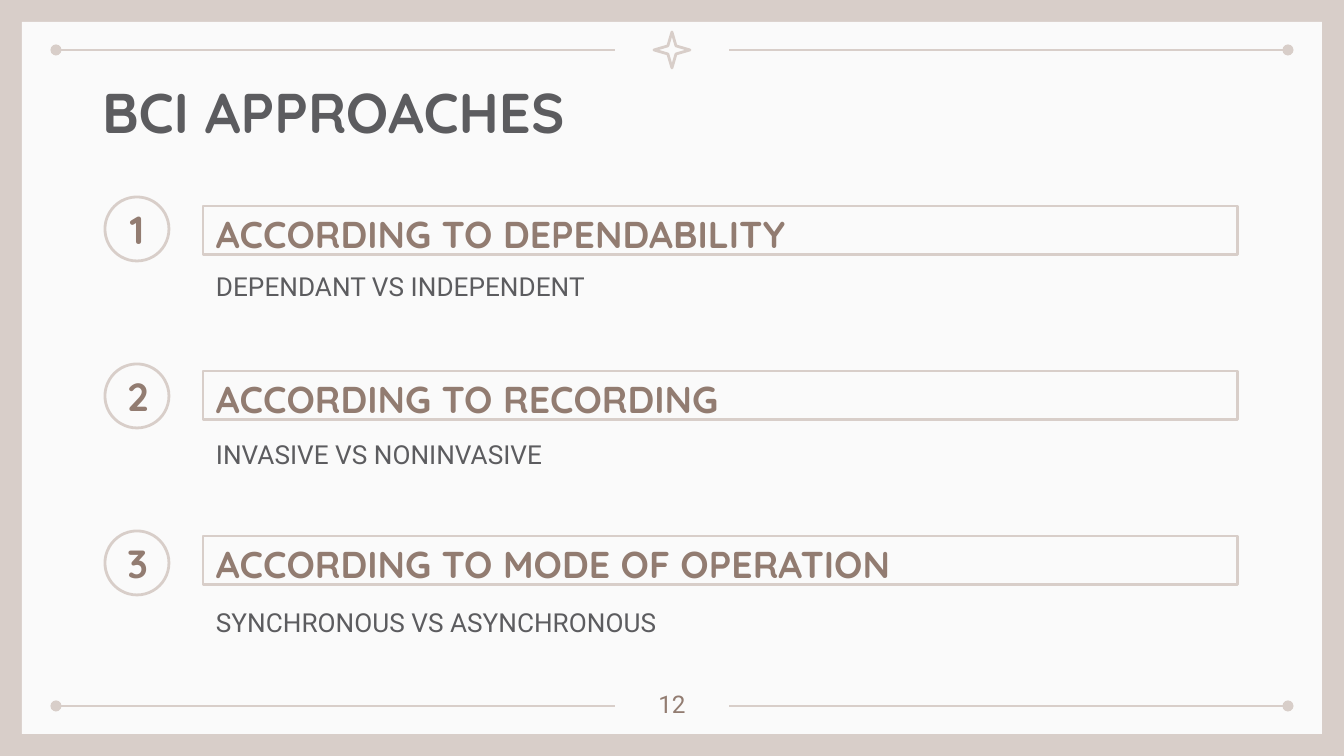
import dataclasses

import lxml.etree
import pptx
import pptx.dml.color
import pptx.enum.shapes
import pptx.enum.text
import pptx.oxml.ns
import pptx.util

SLIDE_WIDTH, SLIDE_HEIGHT = 1344, 756
EMU_PER_PX = 914400 / 134.4
INSET = 13

SAND = pptx.dml.color.RGBColor(0xD8, 0xCE, 0xC9)
PAPER = pptx.dml.color.RGBColor(0xFA, 0xFA, 0xFA)
BROWN = pptx.dml.color.RGBColor(0x92, 0x7C, 0x71)
GRAPHITE = pptx.dml.color.RGBColor(0x5C, 0x5C, 0x5F)

SHAPE = pptx.enum.shapes.MSO_SHAPE
ANCHOR = pptx.enum.text.MSO_ANCHOR
ALIGN = pptx.enum.text.PP_ALIGN


@dataclasses.dataclass(frozen=True)
class Box:
    left: int
    top: int
    width: int
    height: int


@dataclasses.dataclass(frozen=True)
class TextStyle:
    font: str
    size: int
    color: pptx.dml.color.RGBColor
    bold: bool = False
    align: ALIGN = ALIGN.LEFT
    anchor: ANCHOR = ANCHOR.TOP
    spacing: float = 1.0


@dataclasses.dataclass(frozen=True)
class Approach:
    heading: str
    options: str


TITLE_STYLE = TextStyle("Quicksand", 30, GRAPHITE, bold=True)
NUMBER_STYLE = TextStyle("Quicksand", 21, BROWN, True, ALIGN.CENTER, ANCHOR.MIDDLE)
HEADING_STYLE = TextStyle("Quicksand", 20, BROWN, True, anchor=ANCHOR.MIDDLE, spacing=1.15)
OPTIONS_STYLE = TextStyle("Roboto", 14, GRAPHITE, spacing=1.15)
PAGE_STYLE = TextStyle("Roboto", 13, BROWN, align=ALIGN.CENTER)

APPROACHES = [
    Approach("ACCORDING TO DEPENDABILITY", "DEPENDANT VS INDEPENDENT"),
    Approach("ACCORDING TO RECORDING", "INVASIVE VS NONINVASIVE"),
    Approach("ACCORDING TO MODE OF OPERATION", "SYNCHRONOUS VS ASYNCHRONOUS"),
]


def px(length: int) -> pptx.util.Emu:
    return pptx.util.Emu(round(length * EMU_PER_PX))


def corners(box: Box) -> tuple:
    return px(box.left), px(box.top), px(box.width), px(box.height)


def write(shape, text: str, style: TextStyle) -> None:
    frame = shape.text_frame
    frame.auto_size = pptx.enum.text.MSO_AUTO_SIZE.NONE
    frame.word_wrap = True
    frame.vertical_anchor = style.anchor
    frame.margin_left = frame.margin_right = px(INSET)
    frame.margin_top = frame.margin_bottom = px(INSET)
    paragraph = frame.paragraphs[0]
    paragraph.alignment = style.align
    paragraph.line_spacing = style.spacing
    run = paragraph.add_run()
    run.text = text
    run.font.name = style.font
    run.font.size = pptx.util.Pt(style.size)
    run.font.bold = style.bold
    run.font.color.rgb = style.color


def add_text(slide, box: Box, text: str, style: TextStyle) -> None:
    write(slide.shapes.add_textbox(*corners(box)), text, style)


def add_outline(slide, kind: SHAPE, box: Box):
    shape = slide.shapes.add_shape(kind, *corners(box))
    shape.shadow.inherit = False
    shape.fill.background()
    shape.line.color.rgb = SAND
    shape.line.width = pptx.util.Pt(1.5)
    line = shape.element.spPr.find(pptx.oxml.ns.qn("a:ln"))
    lxml.etree.SubElement(line, pptx.oxml.ns.qn("a:round"))
    return shape


def add_rule(slide, outer: int, inner: int, y: int) -> None:
    rule = slide.shapes.add_connector(
        pptx.enum.shapes.MSO_CONNECTOR.STRAIGHT, px(outer), px(y), px(inner), px(y)
    )
    rule.line.color.rgb = SAND
    rule.line.width = pptx.util.Pt(1.5)
    properties = rule.element.spPr
    line = properties.find(pptx.oxml.ns.qn("a:ln"))
    lxml.etree.SubElement(line, pptx.oxml.ns.qn("a:headEnd"), type="oval")
    lxml.etree.SubElement(properties, pptx.oxml.ns.qn("a:effectLst"))


def add_frame(slide) -> None:
    slide.background.fill.solid()
    slide.background.fill.fore_color.rgb = SAND
    margin = 22
    card = slide.shapes.add_shape(
        SHAPE.RECTANGLE,
        *corners(Box(margin, margin, SLIDE_WIDTH - 2 * margin, SLIDE_HEIGHT - 2 * margin)),
    )
    card.shadow.inherit = False
    card.fill.solid()
    card.fill.fore_color.rgb = PAPER
    card.line.fill.background()
    for y in (50, 706):
        for outer, inner in ((56, 615), (1288, 729)):
            add_rule(slide, outer, inner, y)
    star = add_outline(slide, SHAPE.STAR_4_POINT, Box(654, 32, 36, 36))
    star.adjustments[0] = 0.16


def add_title(slide, text: str) -> None:
    title = slide.shapes.title
    title.left, title.top, title.width, title.height = corners(Box(89, 65, 1133, 85))
    write(title, text, TITLE_STYLE)
    title.element.getparent().append(title.element)


def add_approach(slide, index: int, approach: Approach) -> None:
    left, width = 203, 1035
    add_text(slide, Box(left, 253 + 168 * index, width, 78), approach.options, OPTIONS_STYLE)
    circle = add_outline(slide, SHAPE.OVAL, Box(105, 197 + 167 * index, 64, 64))
    write(circle, str(index + 1), NUMBER_STYLE)
    heading = add_outline(slide, SHAPE.RECTANGLE, Box(left, 206 + 165 * index, width, 49))
    write(heading, approach.heading, HEADING_STYLE)


def main() -> None:
    presentation = pptx.Presentation()
    presentation.slide_width = px(SLIDE_WIDTH)
    presentation.slide_height = px(SLIDE_HEIGHT)
    slide = presentation.slides.add_slide(presentation.slide_layouts.get_by_name("Title Only"))
    add_frame(slide)
    add_title(slide, "BCI APPROACHES")
    for index, approach in enumerate(APPROACHES):
        add_approach(slide, index, approach)
    add_text(slide, Box(632, 676, 80, 48), "12", PAGE_STYLE)
    presentation.save("out.pptx")


if __name__ == "__main__":
    main()
